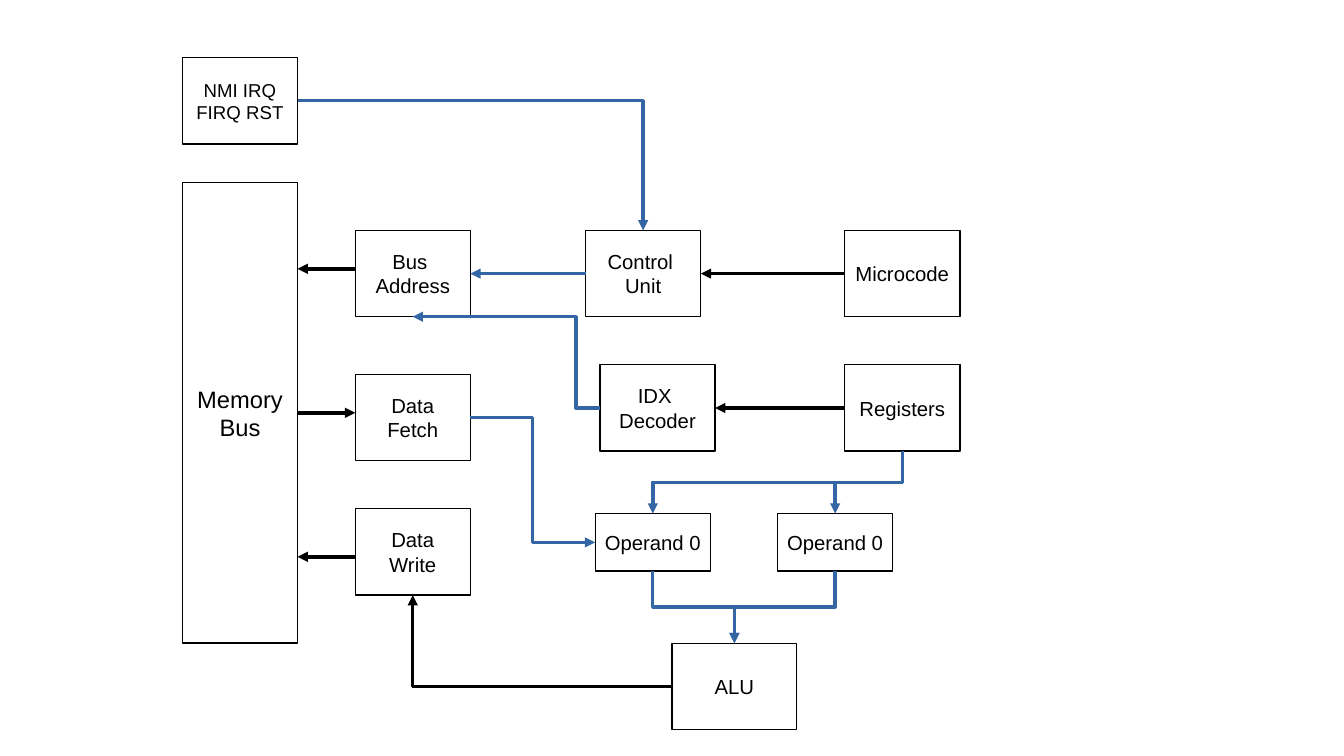
"""Draw the block diagram of a processor, from memory bus to ALU."""
from dataclasses import dataclass
from enum import IntEnum

from lxml import etree
from pptx import Presentation
from pptx import util as u
from pptx.dml.color import RGBColor
from pptx.enum import shapes, text
from pptx.oxml import ns
from pptx.shapes.autoshape import Shape
from pptx.shapes.connector import Connector
from pptx.slide import Slide

COLUMNS, ROWS = 28, 15.75
CELL = u.Cm(1)
BLACK, WHITE, BLUE = "000000", "FFFFFF", "3465A4"
STRAIGHT, ELBOW = shapes.MSO_CONNECTOR.STRAIGHT, shapes.MSO_CONNECTOR.ELBOW


class Side(IntEnum):
    """Connection sites of a rectangle."""
    TOP = 0
    LEFT = 1
    BOTTOM = 2
    RIGHT = 3


@dataclass(frozen=True)
class Block:
    """A labelled rectangle, measured in grid cells."""
    label: str
    column: float
    row: float
    columns: float = 2.4
    rows: float = 1.8
    size: int = 12


@dataclass(frozen=True)
class Link:
    """An arrow from a side of one block to a side of another."""
    source: str
    leaves: Side
    target: str
    enters: Side
    color: str = BLUE


@dataclass(frozen=True)
class Arrow:
    """A free arrow between two grid points."""
    begin: tuple[float, float]
    end: tuple[float, float]
    color: str = BLACK
    bend: float | None = None


BLOCKS = {
    "control": Block("Control \nUnit", 12.2, 4.8),
    "registers": Block("Registers", 17.6, 7.6),
    "decoder": Block("IDX \nDecoder", 12.5, 7.6),
    "microcode": Block("Microcode", 17.6, 4.8),
    "alu": Block("ALU", 14, 13.4, columns=2.6),
    "address": Block("Bus \nAddress", 7.4, 4.8),
    "fetch": Block("Data\nFetch", 7.4, 7.8),
    "write": Block("Data\nWrite", 7.4, 10.6),
    "memory": Block("Memory\nBus", 3.8, 3.8, rows=9.6, size=14),
    "left operand": Block("Operand 0", 12.4, 10.7, rows=1.2),
    "interrupts": Block("NMI IRQ\nFIRQ RST", 3.8, 1.2, size=11),
    "right operand": Block("Operand 0", 16.2, 10.7, rows=1.2),
}

LINKS = [
    Link("alu", Side.LEFT, "write", Side.BOTTOM, BLACK),
    Link("left operand", Side.BOTTOM, "alu", Side.TOP),
    Link("right operand", Side.BOTTOM, "alu", Side.TOP),
    Link("registers", Side.LEFT, "decoder", Side.RIGHT, BLACK),
    Link("microcode", Side.LEFT, "control", Side.RIGHT, BLACK),
    Link("control", Side.LEFT, "address", Side.RIGHT),
    Link("fetch", Side.RIGHT, "left operand", Side.LEFT),
    Link("registers", Side.BOTTOM, "right operand", Side.TOP),
    Link("registers", Side.BOTTOM, "left operand", Side.TOP),
    Link("interrupts", Side.RIGHT, "control", Side.TOP),
]

ARROWS = [
    Arrow((7.4, 5.6), (6.2, 5.6)),
    Arrow((6.2, 8.6), (7.4, 8.6)),
    Arrow((7.4, 11.6), (6.2, 11.6)),
    Arrow((12.5, 8.5), (8.6, 6.6), BLUE, bend=0.128),
]


def cells(count: float) -> u.Emu:
    """Convert grid cells to a length."""
    return u.Emu(round(count * CELL))


def rgb(value: str) -> RGBColor:
    """Convert a hex string to a colour."""
    return RGBColor.from_string(value)


def draw_block(slide: Slide, block: Block) -> Shape:
    """Add a white rectangle with its centred label."""
    shape = slide.shapes.add_shape(
        shapes.MSO_SHAPE.RECTANGLE, cells(block.column), cells(block.row),
        cells(block.columns), cells(block.rows))
    shape.shadow.inherit = False
    shape.fill.solid()
    shape.fill.fore_color.rgb = rgb(WHITE)
    shape.line.color.rgb = rgb(BLACK)
    shape.line.width = 0
    frame = shape.text_frame
    frame.word_wrap = False
    frame.vertical_anchor = text.MSO_ANCHOR.MIDDLE
    frame.text = block.label
    for paragraph in frame.paragraphs:
        paragraph.alignment = text.PP_ALIGN.CENTER
        paragraph.font.name = "Arial"
        paragraph.font.size = u.Pt(block.size)
        paragraph.font.color.rgb = rgb(BLACK)
    return shape


def style_arrow(connector: Connector, color: str) -> None:
    """Give a connector its colour, a hairline and a triangle head."""
    connector.line.color.rgb = rgb(color)
    connector.line.width = 0
    properties = connector.element.spPr
    line = properties.find(ns.qn("a:ln"))
    etree.SubElement(line, ns.qn("a:tailEnd"), type="triangle")
    etree.SubElement(properties, ns.qn("a:effectLst"))


def turn_upright(connector: Connector) -> None:
    """Rotate an elbow so that it leaves its source vertically."""
    left, top = connector.left, connector.top
    width, height = connector.width, connector.height
    connector.left = left + (width - height) // 2
    connector.top = top + (height - width) // 2
    connector.width, connector.height = height, width
    frame = connector.element.spPr.find(ns.qn("a:xfrm"))
    leftward = frame.get("flipH") == "1"
    frame.set("flipH", "0" if leftward else "1")
    frame.set("rot", str((90 if leftward else 270) * 60000))


def draw_link(slide: Slide, link: Link, drawn: dict[str, Shape]) -> None:
    """Join two blocks with a straight or bent arrow."""
    upright = {Side.TOP, Side.BOTTOM}
    vertical_start, vertical_end = link.leaves in upright, link.enters in upright
    straight = (not vertical_start and not vertical_end
                and BLOCKS[link.source].row == BLOCKS[link.target].row)
    connector = slide.shapes.add_connector(
        STRAIGHT if straight else ELBOW, 0, 0, 0, 0)
    connector.begin_connect(drawn[link.source], link.leaves.value)
    connector.end_connect(drawn[link.target], link.enters.value)
    if vertical_start != vertical_end:
        geometry = connector.element.spPr.find(ns.qn("a:prstGeom"))
        geometry.set("prst", "bentConnector2")
    elif vertical_start:
        turn_upright(connector)
    style_arrow(connector, link.color)


def draw_arrow(slide: Slide, arrow: Arrow) -> None:
    """Add a free arrow, bent at a share of its width if asked."""
    kind = STRAIGHT if arrow.bend is None else ELBOW
    connector = slide.shapes.add_connector(
        kind, *map(cells, arrow.begin), *map(cells, arrow.end))
    if arrow.bend is not None:
        guides = connector.element.spPr.find(ns.qn("a:prstGeom")).find(ns.qn("a:avLst"))
        etree.SubElement(guides, ns.qn("a:gd"), name="adj1",
                         fmla=f"val {round(arrow.bend * 100000)}")
    style_arrow(connector, arrow.color)


def main() -> None:
    """Build and save the presentation."""
    presentation = Presentation()
    presentation.slide_width = cells(COLUMNS)
    presentation.slide_height = cells(ROWS)
    slide = presentation.slides.add_slide(presentation.slide_layouts[6])
    drawn = {name: draw_block(slide, block) for name, block in BLOCKS.items()}
    for arrow in ARROWS:
        draw_arrow(slide, arrow)
    for link in LINKS:
        draw_link(slide, link, drawn)
    presentation.save("out.pptx")


if __name__ == "__main__":
    main()
